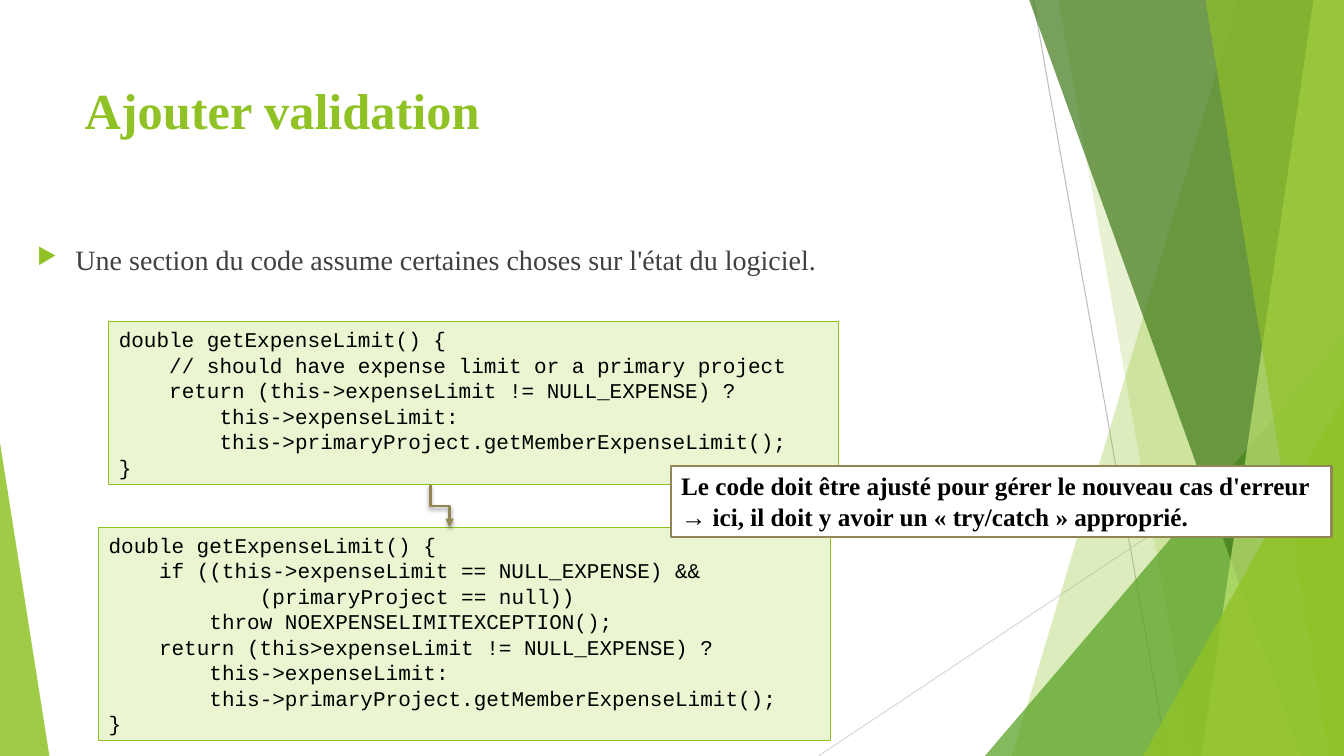
from dataclasses import dataclass

from lxml.etree import SubElement
from pptx import Presentation
from pptx.dml.color import RGBColor
from pptx.enum.shapes import MSO_CONNECTOR, MSO_SHAPE
from pptx.enum.text import MSO_ANCHOR
from pptx.oxml.ns import qn
from pptx.util import Inches, Pt


@dataclass(frozen=True)
class Theme:
    green: str = "90C226"
    leaf: str = "54A021"
    forest: str = "3F7819"
    lime: str = "C0E474"
    code_fill: str = "EAF6D1"
    olive: str = "918655"
    white: str = "FFFFFF"
    black: str = "000000"
    body: str = "404040"
    ray: str = "BFBFBF"
    pale_ray: str = "D9D9D9"
    serif: str = "Times New Roman"
    mono: str = "Courier New"
    title_size: float = 36
    body_size: float = 20
    callout_size: float = 18
    code_size: float = 15
    code_leading: float = 18.2


THEME = Theme()
WIDTH, HEIGHT = Inches(13.333), Inches(7.5)

ASSUMED_CODE = """double getExpenseLimit() {
\t// should have expense limit or a primary project
\treturn (this->expenseLimit != NULL_EXPENSE) ?
\t\tthis->expenseLimit:
\t\tthis->primaryProject.getMemberExpenseLimit();
}"""

CHECKED_CODE = """double getExpenseLimit() {
\tif ((this->expenseLimit == NULL_EXPENSE) &&
\t\t\t(primaryProject == null))
\t\tthrow NOEXPENSELIMITEXCEPTION();
\treturn (this>expenseLimit != NULL_EXPENSE) ?
\t\tthis->expenseLimit:
\t\tthis->primaryProject.getMemberExpenseLimit();
}"""


def across(percent):
    return round(WIDTH * percent / 100)


def down(percent):
    return round(HEIGHT * percent / 100)


def area(left, top, width, height):
    return across(left), down(top), across(width), down(height)


def color(value):
    return RGBColor.from_string(value)


def paint(shape, fill, opacity=100, line=None, line_width=0.75):
    shape.shadow.inherit = False
    shape.fill.solid()
    shape.fill.fore_color.rgb = color(fill)
    if opacity < 100:
        tint = shape._element.spPr.find(qn("a:solidFill"))[0]
        SubElement(tint, qn("a:alpha"), val=str(opacity * 1000))
    if line:
        shape.line.color.rgb = color(line)
        shape.line.width = Pt(line_width)
    else:
        shape.line.fill.background()


def add_bullet(paragraph):
    properties = paragraph._p.get_or_add_pPr()
    properties.set("marL", str(Inches(0.38)))
    properties.set("indent", str(-Inches(0.38)))
    bullet_color = SubElement(properties, qn("a:buClr"))
    SubElement(bullet_color, qn("a:srgbClr"), val=THEME.green)
    SubElement(properties, qn("a:buSzPct"), val="80000")
    SubElement(properties, qn("a:buChar"), char="▶")


def add_tabs(paragraph):
    tabs = SubElement(paragraph._p.get_or_add_pPr(), qn("a:tabLst"))
    for step in range(1, 4):
        SubElement(tabs, qn("a:tab"), pos=str(step * Inches(0.5)), algn="l")


def write(shape, text, *, size, font=THEME.serif, ink=THEME.black, bold=False,
          leading=None, prepare=None, margin_top=0.05):
    frame = shape.text_frame
    frame.word_wrap = True
    frame.vertical_anchor = MSO_ANCHOR.TOP
    frame.margin_top = Inches(margin_top)
    for index, line in enumerate(text.split("\n")):
        paragraph = frame.add_paragraph() if index else frame.paragraphs[0]
        if prepare:
            prepare(paragraph)
        paragraph.alignment = 1
        if leading:
            paragraph.line_spacing = Pt(leading)
        run = paragraph.add_run()
        run.text = line
        run.font.size = Pt(size)
        run.font.name = font
        run.font.bold = bold
        run.font.color.rgb = color(ink)


def add_text(slide, place, text, **style):
    write(slide.shapes.add_textbox(*area(*place)), text, **style)


def add_box(slide, place, text, fill, line, line_width=0.75, **style):
    box = slide.shapes.add_shape(MSO_SHAPE.RECTANGLE, *area(*place))
    paint(box, fill, line=line, line_width=line_width)
    write(box, text, **style)


def add_code(slide, place, text):
    add_box(slide, place, text, THEME.code_fill, THEME.green, size=THEME.code_size,
            font=THEME.mono, leading=THEME.code_leading, prepare=add_tabs)


def add_panel(slide, top_left, bottom_left, fill, opacity):
    builder = slide.shapes.build_freeform(across(top_left), 0)
    builder.add_line_segments(
        [(WIDTH, 0), (WIDTH, HEIGHT), (across(bottom_left), HEIGHT)], close=True)
    paint(builder.convert_to_shape(), fill, opacity)


def add_corner(slide, left, top, width, apex, fill, opacity):
    corner = slide.shapes.add_shape(
        MSO_SHAPE.ISOSCELES_TRIANGLE, *area(left, top, width, 100 - top))
    corner.adjustments[0] = apex
    paint(corner, fill, opacity)


def add_line(slide, kind, begin, end, ink, width):
    line = slide.shapes.add_connector(kind, *begin, *end)
    line.line.color.rgb = color(ink)
    line.line.width = Pt(width)
    effects = SubElement(line._element.spPr, qn("a:effectLst"))
    return line, effects


def add_ray(slide, begin, end, ink):
    add_line(slide, MSO_CONNECTOR.STRAIGHT, (across(begin[0]), down(begin[1])),
             (across(end[0]), down(end[1])), ink, 0.75)


def add_step_arrow(slide, begin, end):
    left, top, right, bottom = across(begin[0]), down(begin[1]), across(end[0]), down(end[1])
    middle_x, middle_y = (left + right) // 2, (top + bottom) // 2
    half_run, half_drop = (right - left) // 2, (bottom - top) // 2
    arrow, effects = add_line(
        slide, MSO_CONNECTOR.ELBOW, (middle_x + half_drop, middle_y - half_run),
        (middle_x - half_drop, middle_y + half_run), THEME.olive, 2)
    arrow._element.spPr.find(qn("a:xfrm")).set("rot", str(270 * 60000))
    SubElement(arrow._element.spPr.find(qn("a:ln")), qn("a:tailEnd"), type="triangle")
    shadow = SubElement(effects, qn("a:outerShdw"), blurRad=str(Pt(3)), dist=str(Pt(2)),
                        dir=str(90 * 60000), rotWithShape="0")
    shade = SubElement(shadow, qn("a:srgbClr"), val=THEME.black)
    SubElement(shade, qn("a:alpha"), val="35000")


def add_backdrop(slide):
    add_ray(slide, (76.88, 0), (86.85, 100), THEME.ray)
    add_ray(slide, (100, 53.73), (60.9, 100), THEME.pale_ray)
    add_panel(slide, 92.1, 75.3, THEME.green, 30)
    add_panel(slide, 78.75, 88.73, THEME.green, 20)
    add_corner(slide, 73.28, 44.4, 26.72, 1, THEME.leaf, 72)
    add_panel(slide, 76.58, 96.83, THEME.forest, 70)
    add_panel(slide, 97.73, 89.4, THEME.lime, 70)
    add_panel(slide, 89.7, 98.85, THEME.green, 65)
    add_corner(slide, 85.05, 52.4, 14.95, 1, THEME.green, 80)
    add_corner(slide, 0, 58.53, 3.68, 0, THEME.green, 85)


def main():
    presentation = Presentation()
    presentation.slide_width, presentation.slide_height = WIDTH, HEIGHT
    slide = presentation.slides.add_slide(presentation.slide_layouts[6])
    add_backdrop(slide)
    add_text(slide, (5.55, 8.93, 70.5, 19.2), "Ajouter validation",
             size=THEME.title_size, ink=THEME.green, bold=True, margin_top=0.12)
    add_text(slide, (2.03, 31.47, 70.5, 56.53),
             "Une section du code assume certaines choses sur l'état du logiciel.",
             size=THEME.body_size, ink=THEME.body, prepare=add_bullet)
    add_code(slide, (8.1, 42.53, 54.3, 21.6), ASSUMED_CODE)
    add_code(slide, (7.35, 69.73, 54.45, 28.27), CHECKED_CODE)
    add_step_arrow(slide, (32.03, 64.13), (33.45, 69.73))
    add_box(slide, (49.95, 61.6, 49.13, 9.47),
            "Le code doit être ajusté pour gérer le nouveau cas d'erreur "
            "→ ici, il doit y avoir un « try/catch » approprié.",
            THEME.white, THEME.olive, 1.5, size=THEME.callout_size, bold=True)
    presentation.save("out.pptx")


if __name__ == "__main__":
    main()
